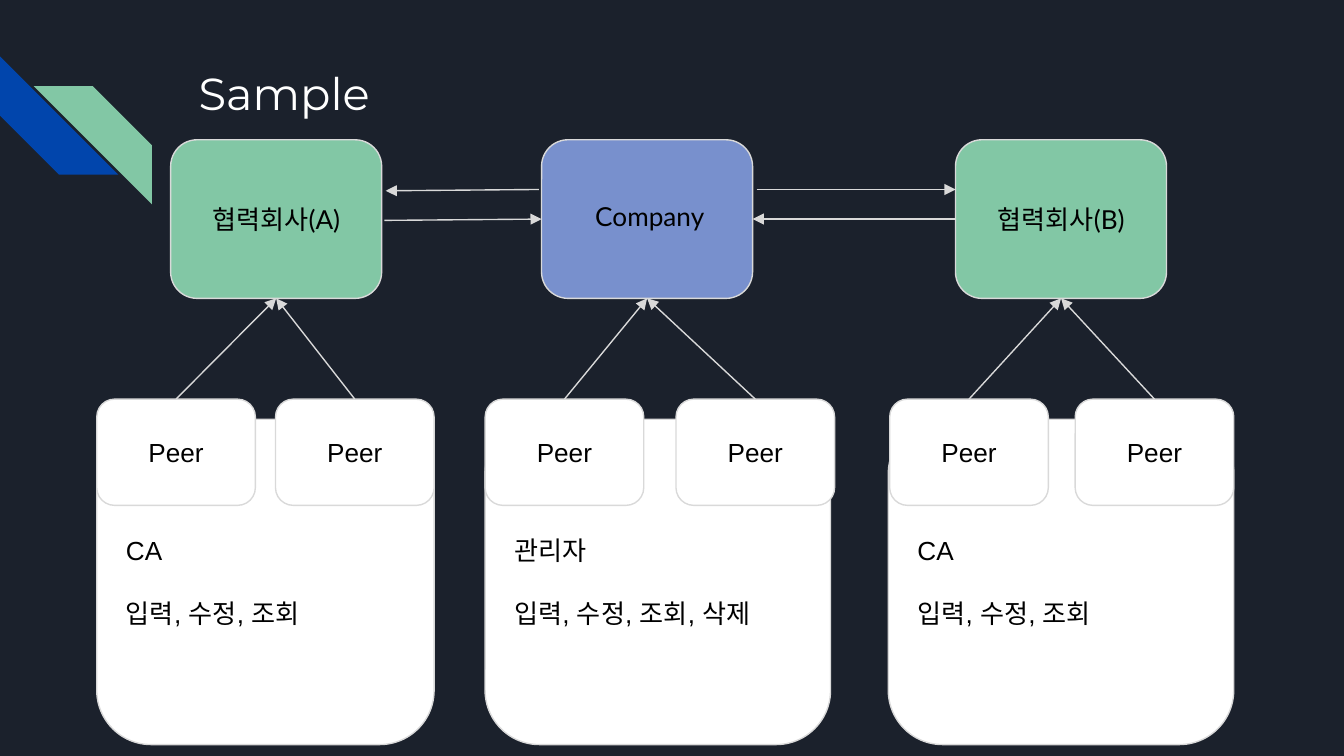
from pptx import Presentation
from pptx.dml.color import RGBColor
from pptx.enum import shapes, text
from pptx.oxml import parse_xml
from pptx.oxml.ns import nsdecls
from pptx.util import Inches, Pt

NAVY = RGBColor(0x1B, 0x21, 0x2C)
BLUE = RGBColor(0x01, 0x45, 0xAC)
GREEN = RGBColor(0x82, 0xC7, 0xA5)
PERIWINKLE = RGBColor(0x78, 0x90, 0xCD)
GREY = RGBColor(0xD9, 0xD9, 0xD9)
WHITE = RGBColor(0xFF, 0xFF, 0xFF)
BLACK = RGBColor(0, 0, 0)

KIND = shapes.MSO_SHAPE
TOP, LEFT, BOTTOM, RIGHT = range(4)
BOX_TOP, BOX_WIDTH, BOX_HEIGHT = 1.04, 1.57, 1.18
PEER_TOP, PEER_WIDTH, PEER_HEIGHT = 2.97, 1.18, 0.79
CARD_TOP, CARD_HEIGHT = 3.12, 2.42

# Each label is (text, left offset in box, top offset, width, height)
ORGANISATIONS = [
    {"box_left": 1.27, "color": GREEN,
     "label": ("협력회사(A)", 0.12, 0.37, 1.33, 0.44),
     "card": (0.72, 2.51), "lines": ["CA", "입력, 수정, 조회"],
     "peers": (0.72, 2.05)},
    {"box_left": 4.03, "color": PERIWINKLE,
     "label": ("Company", 0.22, 0.35, 1.17, 0.62),
     "card": (3.61, 2.57), "lines": ["관리자", "입력, 수정, 조회, 삭제"],
     "peers": (3.61, 5.03)},
    {"box_left": 7.11, "color": GREEN,
     "label": ("협력회사(B)", 0.12, 0.37, 1.33, 0.44),
     "card": (6.61, 2.57), "lines": ["CA", "입력, 수정, 조회"],
     "peers": (6.62, 8.0)},
]


def set_text(shape, lines, font="Arial", size=14, color=BLACK,
             align=text.PP_ALIGN.CENTER, anchor=text.MSO_ANCHOR.MIDDLE):
    frame = shape.text_frame
    frame_format = {"word_wrap": True, "vertical_anchor": anchor}
    for side in ("left", "top", "right", "bottom"):
        frame_format[f"margin_{side}"] = Inches(0.1)
    for name, value in frame_format.items():
        setattr(frame, name, value)
    for index, line in enumerate(lines):
        paragraph = frame.add_paragraph() if index else frame.paragraphs[0]
        paragraph.alignment = align
        if index:
            paragraph.space_before = Pt(17)
        run = paragraph.add_run()
        run.text = line
        for name, value in {"name": font, "size": Pt(size)}.items():
            setattr(run.font, name, value)
        run.font.color.rgb = color


def add_block(slide, kind, bounds, fill, outlined=True):
    shape = slide.shapes.add_shape(kind, *map(Inches, bounds))
    shape.shadow.inherit = False
    shape.fill.solid()
    shape.fill.fore_color.rgb = fill
    if outlined:
        shape.line.color.rgb = GREY
        shape.line.width = Pt(0.75)
    else:
        shape.line.fill.background()
    return shape


def add_arrow(slide, start=(0, 0), end=(0, 0), begin_at=None, end_at=None):
    connector = slide.shapes.add_connector(
        shapes.MSO_CONNECTOR.STRAIGHT, *map(Inches, (*start, *end)))
    if begin_at:
        connector.begin_connect(*begin_at)
    if end_at:
        connector.end_connect(*end_at)
    connector.line.color.rgb = GREY
    connector.line.width = Pt(0.75)
    connector.line._get_or_add_ln().append(
        parse_xml(f'<a:tailEnd {nsdecls("a")} type="triangle"/>'))
    connector.element.spPr.append(
        parse_xml(f'<a:effectLst {nsdecls("a")}/>'))


def add_stripes(slide):
    blue = add_block(slide, KIND.DIAGONAL_STRIPE,
                     (0, 0.42, 0.88, 0.88), BLUE, outlined=False)
    blue.rotation = 270
    green = add_block(slide, KIND.DIAGONAL_STRIPE,
                      (0.25, 0.64, 0.88, 0.88), GREEN, outlined=False)
    green.element.spPr.xfrm.set("flipH", "1")


def add_title(slide, title):
    box = slide.shapes.add_textbox(*map(Inches, (1.38, 0.39, 7.7, 0.74)))
    set_text(box, [title], "Montserrat", 24, WHITE,
             text.PP_ALIGN.LEFT, text.MSO_ANCHOR.TOP)


def add_organisation(slide, box_left, color, label, card, lines, peers):
    # Card with its permissions
    card_left, card_width = card
    card_shape = add_block(slide, KIND.ROUNDED_RECTANGLE,
                           (card_left, CARD_TOP, card_width, CARD_HEIGHT), WHITE)
    set_text(card_shape, lines, align=text.PP_ALIGN.LEFT)

    # Organisation box and its name
    box = add_block(slide, KIND.ROUNDED_RECTANGLE,
                    (box_left, BOX_TOP, BOX_WIDTH, BOX_HEIGHT), color)
    name, left, top, width, height = label
    name_shape = add_block(slide, KIND.RECTANGLE,
                           (box_left + left, BOX_TOP + top, width, height),
                           color, outlined=False)
    set_text(name_shape, [name], "Lato", anchor=text.MSO_ANCHOR.TOP)

    # Peers, each pointing at the box
    for peer_left in peers:
        peer = add_block(slide, KIND.ROUNDED_RECTANGLE,
                         (peer_left, PEER_TOP, PEER_WIDTH, PEER_HEIGHT), WHITE)
        set_text(peer, ["Peer"])
        add_arrow(slide, begin_at=(peer, TOP), end_at=(box, BOTTOM))
    return box


def main():
    # Widescreen 16:9 slide
    presentation = Presentation()
    presentation.slide_width = Inches(10)
    presentation.slide_height = Inches(10) * 9 // 16
    slide = presentation.slides.add_slide(presentation.slide_layouts[6])
    slide.background.fill.solid()
    slide.background.fill.fore_color.rgb = NAVY

    add_stripes(slide)
    _, company, partner_b = [add_organisation(slide, **organisation)
                             for organisation in ORGANISATIONS]

    # Exchanges between the company and its partners
    add_arrow(slide, start=(4.01, 1.41), end=(2.87, 1.42))
    add_arrow(slide, start=(2.86, 1.64), end_at=(company, LEFT))
    add_arrow(slide, start=(5.63, 1.41), end=(7.11, 1.41))
    add_arrow(slide, begin_at=(partner_b, LEFT), end_at=(company, RIGHT))

    add_title(slide, "Sample")
    presentation.save("out.pptx")


if __name__ == "__main__":
    main()
